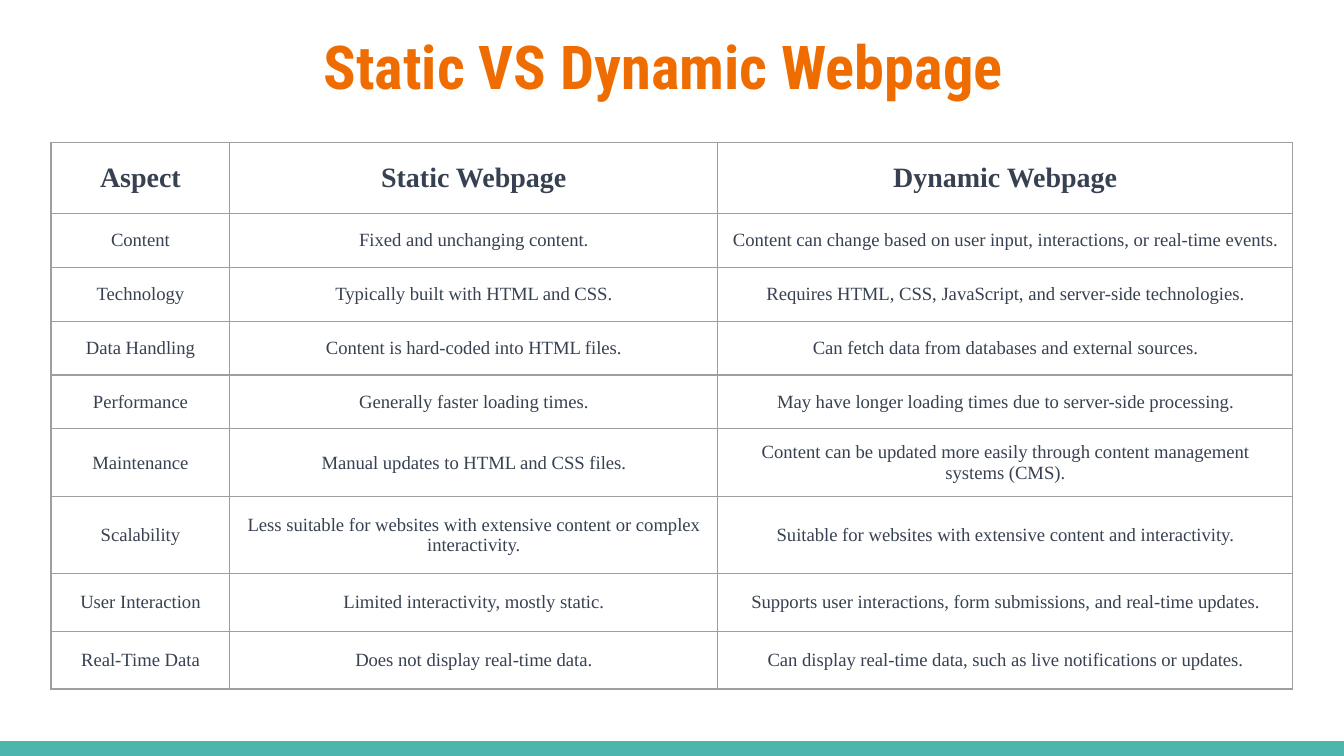
from pptx import Presentation
from pptx.dml.color import RGBColor
from pptx.enum.shapes import MSO_SHAPE
from pptx.enum.text import MSO_ANCHOR, MSO_AUTO_SIZE, PP_ALIGN
from pptx.oxml.ns import qn
from pptx.util import Inches, Pt
from lxml import etree

RECT = MSO_SHAPE.RECTANGLE
MIDDLE = MSO_ANCHOR.MIDDLE
CENTER = PP_ALIGN.CENTER
NO_AUTOFIT = MSO_AUTO_SIZE.NONE

# Content
TITLE = "Static VS Dynamic Webpage"
ROWS = [
    ("Aspect", "Static Webpage", "Dynamic Webpage"),
    ("Content", "Fixed and unchanging content.",
     "Content can change based on user input, interactions, or real-time events."),
    ("Technology", "Typically built with HTML and CSS.",
     "Requires HTML, CSS, JavaScript, and server-side technologies."),
    ("Data Handling", "Content is hard-coded into HTML files.",
     "Can fetch data from databases and external sources."),
    ("Performance", "Generally faster loading times.",
     "May have longer loading times due to server-side processing."),
    ("Maintenance", "Manual updates to HTML and CSS files.",
     "Content can be updated more easily through content management systems (CMS)."),
    ("Scalability",
     "Less suitable for websites with extensive content or complex interactivity.",
     "Suitable for websites with extensive content and interactivity."),
    ("User Interaction", "Limited interactivity, mostly static.",
     "Supports user interactions, form submissions, and real-time updates."),
    ("Real-Time Data", "Does not display real-time data.",
     "Can display real-time data, such as live notifications or updates."),
]
COL_WIDTHS = [1.33, 3.63, 4.28]
ROW_HEIGHTS = [0.53] + [0.4] * 5 + [0.57] + [0.43] * 2

THEME = {
    "title_font": "Roboto Condensed", "body_font": "Times New Roman",
    "title_size": 32.4, "header_size": 15, "body_size": 10,
    "title": "EF6C00", "text": "374151", "paper": "FFFFFF",
    "accent": "4DB6AC", "border": "9E9E9E", "border_width": 0.75,
}
WIDTH, BAR_HEIGHT, INSET = 10, 0.11, 0.1
HEIGHT = WIDTH * 9 / 16


def color(name):
    return RGBColor.from_string(THEME[name])


def style_text(tf, font, size, ink, bold):
    for p in tf.paragraphs:
        p.alignment = CENTER
        for r in p.runs:
            r.font.name = THEME[font]
            r.font.size = Pt(THEME[size])
            r.font.color.rgb = color(ink)
            r.font.bold = bold


def set_margins(box):
    box.margin_left = box.margin_right = Inches(INSET)
    box.margin_top = box.margin_bottom = Inches(INSET)
    box.vertical_anchor = MIDDLE


def add_borders(cell):
    # Borders must come before the fill in the cell properties
    tc_pr = cell._tc.get_or_add_tcPr()
    for i, side in enumerate(("lnL", "lnR", "lnT", "lnB")):
        ln = etree.Element(qn(f"a:{side}"), w=str(Pt(THEME["border_width"])))
        fill = etree.SubElement(ln, qn("a:solidFill"))
        etree.SubElement(fill, qn("a:srgbClr"), val=THEME["border"])
        tc_pr.insert(i, ln)


prs = Presentation()
prs.slide_width, prs.slide_height = Inches(WIDTH), Inches(HEIGHT)
s = prs.slides.add_slide(prs.slide_layouts[5])
s.background.fill.solid()
s.background.fill.fore_color.rgb = color("paper")

# Bottom bar
bar = s.shapes.add_shape(RECT, 0, Inches(HEIGHT - BAR_HEIGHT),
                         Inches(WIDTH), Inches(BAR_HEIGHT))
bar.shadow.inherit = False
bar.fill.solid()
bar.fill.fore_color.rgb = color("accent")
bar.line.fill.background()

# Title
title = s.shapes.title
title.left, title.top = Inches(0.38), Inches(0.13)
title.width, title.height = Inches(9.11), Inches(0.71)
tf = title.text_frame
tf.text = TITLE
tf.word_wrap = True
tf.auto_size = NO_AUTOFIT
set_margins(tf)
style_text(tf, "title_font", "title_size", "title", True)

# Comparison table
table = s.shapes.add_table(len(ROWS), len(COL_WIDTHS), Inches(0.38), Inches(1.06),
                           Inches(sum(COL_WIDTHS)), Inches(sum(ROW_HEIGHTS))).table
table.first_row = table.horz_banding = False
for column, width in zip(table.columns, COL_WIDTHS):
    column.width = Inches(width)
for i, (row, height, texts) in enumerate(zip(table.rows, ROW_HEIGHTS, ROWS)):
    row.height = Inches(height)
    header = i == 0
    for cell, text in zip(row.cells, texts):
        cell.text_frame.text = text
        set_margins(cell)
        style_text(cell.text_frame, "body_font",
                   "header_size" if header else "body_size", "text", header)
        cell.fill.solid()
        cell.fill.fore_color.rgb = color("paper")
        add_borders(cell)

prs.save("out.pptx")
